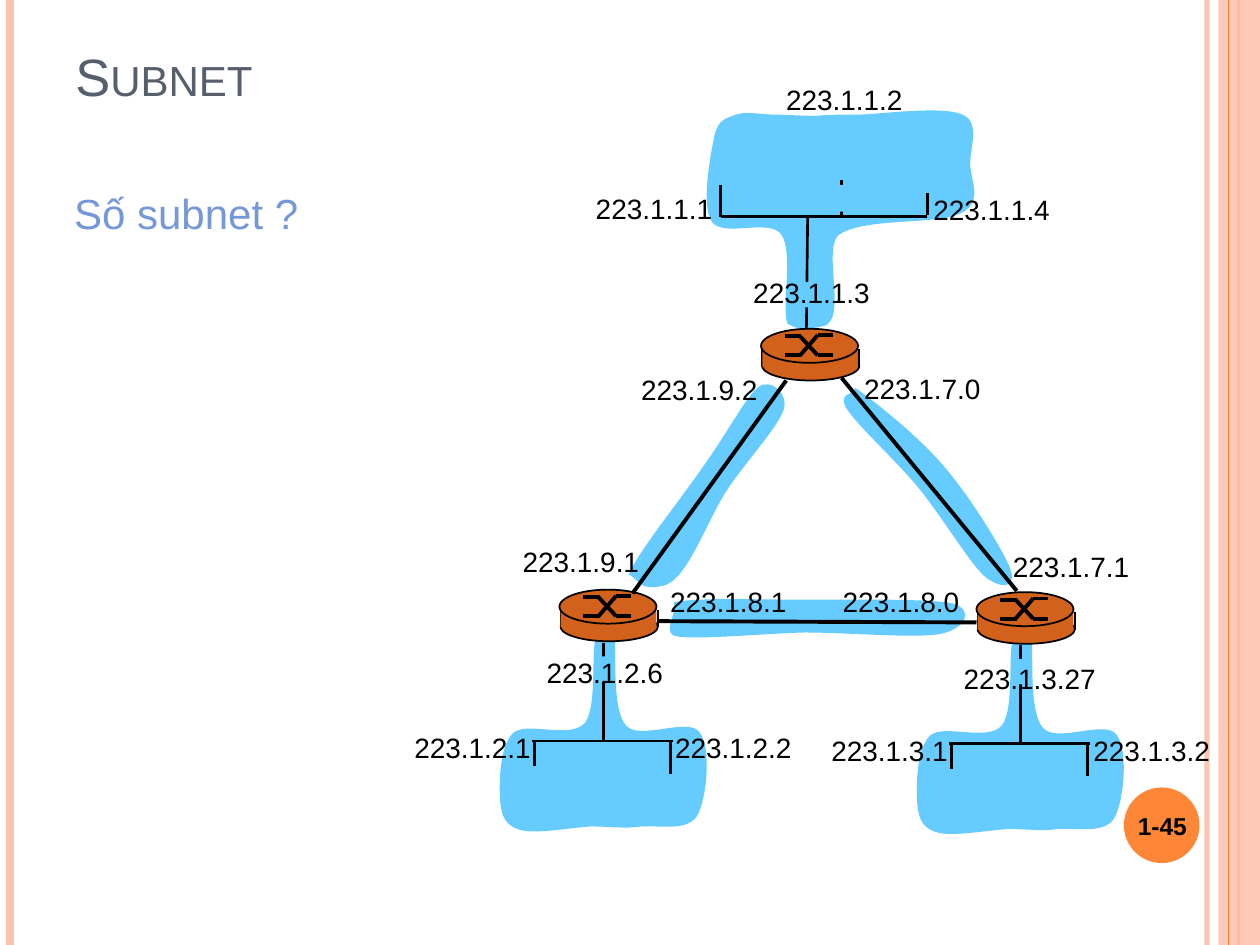
from lxml import etree
from pptx import Presentation
from pptx import util as u
from pptx.dml.color import RGBColor
from pptx.enum import shapes, text
from pptx.oxml.ns import qn

PX = 9144  # one px is a hundredth of an inch
BLACK, SKY, RUST = "000000", "66CCFF", "D2611C"
PEACH, ORANGE = "FEC2AC", "FE8637"
RECT, OVAL = shapes.MSO_SHAPE.RECTANGLE, shapes.MSO_SHAPE.OVAL
rgb = RGBColor.from_string


def add_line(parent, points, color=BLACK, width=1.5):
    c = parent.add_connector(shapes.MSO_CONNECTOR.STRAIGHT, *[v * PX for v in points])
    c.line.color.rgb = rgb(color)
    c.line.width = u.Pt(width)
    etree.SubElement(c._element.spPr, qn("a:effectLst"))
    return c


def add_shape(parent, kind, box, fill, outline=None):
    sp = parent.add_shape(kind, *[v * PX for v in box])
    sp.shadow.inherit = False
    sp.fill.solid()
    sp.fill.fore_color.rgb = rgb(fill)
    if outline:
        sp.line.color.rgb = rgb(outline)
        sp.line.width = u.Pt(1)
    else:
        sp.line.fill.background()
    return sp


prs = Presentation()
prs.slide_width, prs.slide_height = 1000 * PX, 750 * PX
s = prs.slides.add_slide(prs.slide_layouts[6])

# Side stripes and page-number disc
edge = add_line(s.shapes, (958, 0, 958, 750), PEACH, 3)
add_line(s.shapes, (8, 0, 8, 750), PEACH, 4.5)
add_line(s.shapes, (983, 0, 983, 750), ORANGE, 1.5)
band = add_shape(s.shapes, RECT, (967, 0, 33, 750), PEACH)
add_line(s.shapes, (975, 0, 975, 750), ORANGE, 0.75)
add_shape(s.shapes, OVAL, (892, 625, 60, 60), ORANGE)
for sp, alpha in ((edge, 93000), (band, 87000)):
    clr = sp._element.spPr.find(".//" + qn("a:srgbClr"))
    etree.SubElement(clr, qn("a:alpha"), val=str(alpha))

# Subnet clouds: a start point, then cubic curves of two handles and an end
lan_cloud = [
    (474, 506), (468, 507), (475, 561), (464, 574), (452, 587), (418, 572), (407, 582),
    (396, 593), (396, 624), (397, 636), (398, 649), (402, 656), (414, 659),
    (426, 662), (453, 657), (469, 656), (485, 656), (495, 658), (509, 656),
    (523, 655), (545, 660), (553, 648), (561, 635), (565, 593), (555, 581),
    (546, 569), (508, 588), (497, 576), (486, 564), (489, 522), (488, 510),
    (486, 499), (490, 509), (488, 508), (486, 504), (481, 505), (474, 506)]
lan_shifts = [(0, 0), (331, 2)]
clouds = [
    # Right link
    [(670, 320), (671, 329), (709, 363), (728, 386), (747, 409), (769, 446), (781, 457),
     (794, 468), (807, 467), (802, 452), (797, 438), (770, 394), (749, 370),
     (729, 346), (692, 317), (679, 308), (673, 316), (669, 311), (670, 320)],
    # Bottom link
    [(534, 504), (542, 509), (603, 503), (638, 502), (674, 502), (727, 507), (747, 503),
     (766, 499), (774, 484), (756, 479), (739, 475), (678, 476), (641, 476),
     (604, 476), (553, 474), (535, 478), (537, 488), (527, 499), (534, 504)],
    # Left link
    [(526, 465), (546, 461), (561, 412), (579, 386), (595, 363), (618, 338), (622, 325),
     (626, 312), (612, 300), (602, 307), (592, 315), (577, 344), (559, 369),
     (542, 394), (505, 440), (499, 456), (508, 460), (506, 469), (526, 465)],
    # Top network
    [(653, 259), (673, 255), (653, 201), (665, 187), (684, 172), (746, 179), (763, 169),
     (781, 160), (770, 143), (770, 130), (770, 117), (778, 97), (764, 91),
     (749, 84), (703, 90), (683, 91), (664, 91), (659, 91), (647, 92),
     (636, 92), (625, 91), (615, 91), (604, 91), (592, 88), (584, 91),
     (577, 94), (570, 94), (567, 108), (564, 122), (556, 163), (565, 176),
     (574, 189), (610, 173), (620, 186), (630, 200), (620, 245), (625, 257),
     (634, 261), (633, 263), (653, 259)],
] + [[(x + dx, y + dy) for x, y in lan_cloud] for dx, dy in lan_shifts]

for cloud in clouds:
    anchors = cloud[::3]
    left, top = min(x for x, y in anchors), min(y for x, y in anchors)
    fb = s.shapes.build_freeform(*anchors[0], scale=PX)
    fb.add_line_segments(anchors[1:], close=True)
    sp = fb.convert_to_shape()
    sp.shadow.inherit = False
    sp.fill.solid()
    sp.fill.fore_color.rgb = rgb(SKY)
    sp.line.fill.background()
    # Turn each straight segment into a cubic curve
    for i, seg in enumerate(list(sp._element.iter(qn("a:lnTo")))):
        curve = etree.Element(qn("a:cubicBezTo"))
        for x, y in cloud[3 * i + 1:3 * i + 4]:
            etree.SubElement(curve, qn("a:pt"), x=str(x - left), y=str(y - top))
        seg.getparent().replace(seg, curve)

# Network wiring, with sky patches that open gaps in it
wires = [(736, 172, 572, 172), (736, 171, 736, 153), (572, 147, 572, 172),
         (641, 173, 640, 261), (668, 172, 668, 143)]
patches = [(627, 224, 34, 20), (662, 147, 12, 21)]
for dx, dy in lan_shifts:
    for x1, y1, x2, y2 in ((479, 510, 479, 588), (534, 588, 422, 588),
                           (424, 608, 424, 589), (532, 614, 532, 588)):
        wires.append((x1 + dx, y1 + dy, x2 + dx, y2 + dy))
    patches.append((472 + dx, 521 + dy, 14, 20))
for wire in wires:
    add_line(s.shapes, wire)
for patch in patches:
    add_shape(s.shapes, RECT, patch, SKY)

# Routers
for x, y in ((444, 468), (775, 470), (604, 261)):
    g = s.shapes.add_group_shape().shapes
    add_shape(g, OVAL, (x + 1, y + 18, 77, 23), RUST, BLACK)
    for side in (x + 1, x + 78):
        add_line(g, (side, y + 16, side, y + 30), BLACK, 1)
    add_shape(g, RECT, (x + 1, y + 16, 76, 14), RUST)
    add_shape(g, OVAL, (x, y, 77, 27), RUST, BLACK)
    for x1, y1, x2, y2 in ((19, 6, 32, 6), (45, 21, 57, 21), (31, 6, 45, 21),
                           (19, 21, 32, 21), (45, 5, 57, 5), (31, 21, 45, 5)):
        add_line(g, (x + x1, y + y1, x + x2, y + y2), BLACK, 2.25)

# Links between routers
for link in ((502, 471, 624, 302), (807, 469, 668, 300), (775, 494, 523, 493)):
    add_line(s.shapes, link, BLACK, 2.25)

# Title, question, page number and addresses
texts = [("Subnet", (50, 30, 817, 125), 30, "575F6D"),
         ("Số subnet ?", (49, 144, 404, 508), 24, "7598D9"),
         ("1-45", (889, 627, 67, 57), 14, BLACK)]
for address, x, y in (
        ("223.1.1.1", 463, 147), ("223.1.1.2", 614, 61), ("223.1.1.3", 588, 214),
        ("223.1.1.4", 731, 148), ("223.1.2.1", 319, 575), ("223.1.2.2", 526, 575),
        ("223.1.2.6", 424, 515), ("223.1.3.1", 650, 577), ("223.1.3.2", 858, 577),
        ("223.1.3.27", 755, 520), ("223.1.7.0", 676, 290), ("223.1.7.1", 794, 431),
        ("223.1.8.0", 659, 459), ("223.1.8.1", 522, 459), ("223.1.9.1", 405, 427),
        ("223.1.9.2", 499, 291)):
    texts.append((address, (x, y, 125 if len(address) > 9 else 113, 37), 16, BLACK))

for words, box, size, color in texts:
    tf = s.shapes.add_textbox(*[v * PX for v in box]).text_frame
    tf.word_wrap = size != 16
    if size == 16:
        tf.auto_size = text.MSO_AUTO_SIZE.SHAPE_TO_FIT_TEXT
    p = tf.paragraphs[0]
    r = p.add_run()
    r.text = words
    for key, value in {"name": "Arial", "size": u.Pt(size), "bold": size == 14}.items():
        setattr(r.font, key, value)
    r.font.color.rgb = rgb(color)
    if size == 30:
        r.font._element.set("cap", "small")
    if size == 14:
        p.alignment = text.PP_ALIGN.CENTER
        tf.vertical_anchor = text.MSO_ANCHOR.MIDDLE

prs.save("out.pptx")
